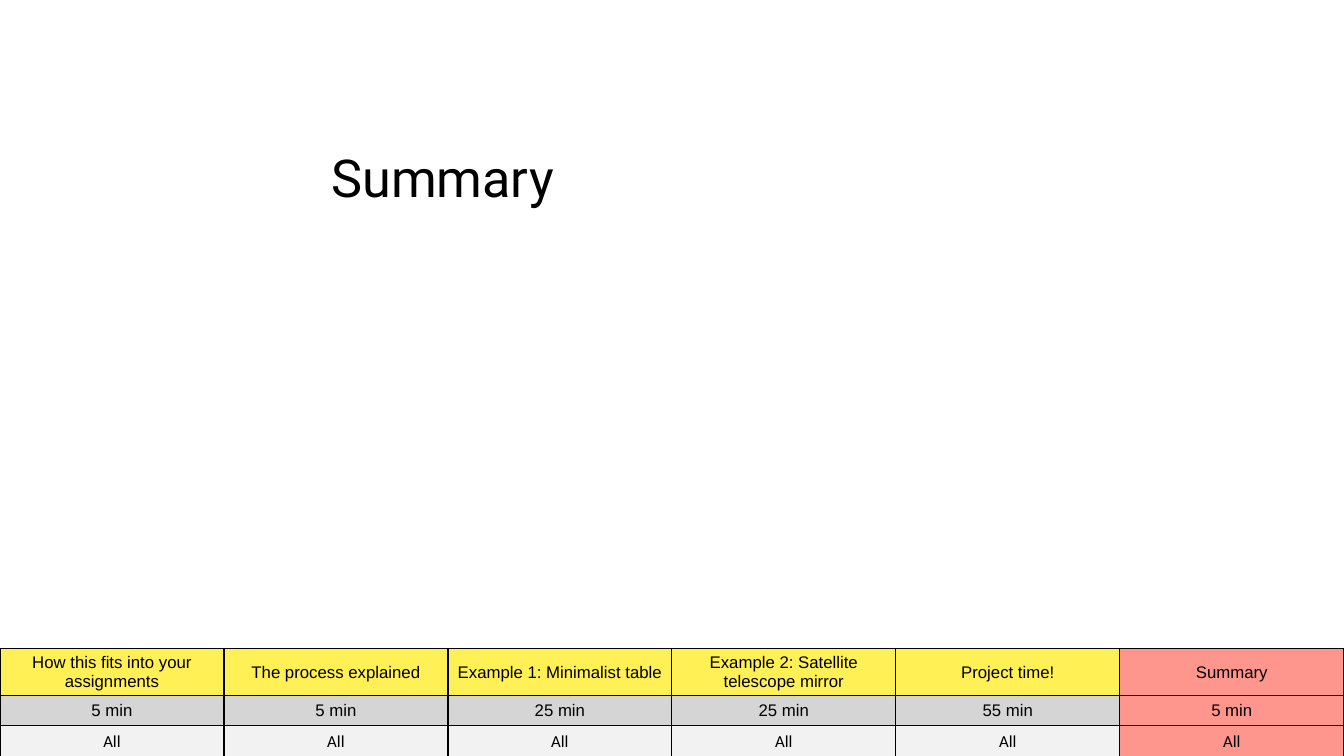
from lxml.etree import SubElement
from pptx import Presentation
from pptx.dml.color import RGBColor
from pptx.enum.text import MSO_ANCHOR, PP_ALIGN
from pptx.oxml.ns import qn
from pptx.util import Cm, Pt

TITLE = "Summary"
PLAN = [
    ("How this fits into your assignments", "5 min", "All"),
    ("The process explained", "5 min", "All"),
    ("Example 1: Minimalist table", "25 min", "All"),
    ("Example 2: Satellite telescope mirror", "25 min", "All"),
    ("Project time!", "55 min", "All"),
    ("Summary", "5 min", "All"),
]
ROWS = [
    (1.17, "yellow", "Arial"),
    (0.76, "gray", "Arial"),
    (0.79, "pale", "Calibri"),
]
COLORS = {
    "black": "000000",
    "yellow": "FFF056",
    "gray": "D5D5D5",
    "pale": "F2F2F2",
    "red": "FF968D",
}
WIDE, HIGH = 33.87, 19.05
TOP = 16.35


def tint(name):
    return RGBColor.from_string(COLORS[name])


def write(para, text, font, size):
    run = para.add_run()
    run.text = text
    run.font.name = font
    run.font.size = Pt(size)
    run.font.color.rgb = tint("black")


def pad(box, gap):
    box.margin_left = box.margin_right = Cm(gap)
    box.margin_top = box.margin_bottom = Cm(gap)


def frame(cell):
    props = cell._tc.get_or_add_tcPr()
    for spot, side in enumerate(("lnL", "lnR", "lnT", "lnB")):
        line = SubElement(props, qn(f"a:{side}"), w=str(Pt(1)))
        fill = SubElement(line, qn("a:solidFill"))
        SubElement(fill, qn("a:srgbClr"), val=COLORS["black"])
        props.insert(spot, line)


def add_title(slide):
    box = slide.shapes.add_textbox(Cm(8.2), Cm(2.21), Cm(25.53), Cm(3.2))
    body = box.text_frame
    body.word_wrap = True
    body.vertical_anchor = MSO_ANCHOR.BOTTOM
    pad(body, 0.15)
    para = body.paragraphs[0]
    para.line_spacing = 0.9
    write(para, TITLE, "Roboto", 37.3)


def add_plan(slide):
    tall = sum(row[0] for row in ROWS)
    grid = slide.shapes.add_table(
        len(ROWS), len(PLAN), 0, Cm(TOP), Cm(WIDE), Cm(tall)
    ).table
    for col in grid.columns:
        col.width = Cm(WIDE / len(PLAN))
    for r, (height, color, font) in enumerate(ROWS):
        grid.rows[r].height = Cm(height)
        for c, step in enumerate(PLAN):
            cell = grid.cell(r, c)
            cell.fill.solid()
            cell.fill.fore_color.rgb = tint("red" if step[0] == TITLE else color)
            cell.vertical_anchor = MSO_ANCHOR.MIDDLE
            pad(cell, 0.08)
            frame(cell)
            para = cell.text_frame.paragraphs[0]
            para.alignment = PP_ALIGN.CENTER
            write(para, step[r], font, 12)


def main():
    deck = Presentation()
    deck.slide_width, deck.slide_height = Cm(WIDE), Cm(HIGH)
    slide = deck.slides.add_slide(deck.slide_layouts[6])
    add_title(slide)
    add_plan(slide)
    deck.save("out.pptx")


if __name__ == "__main__":
    main()
